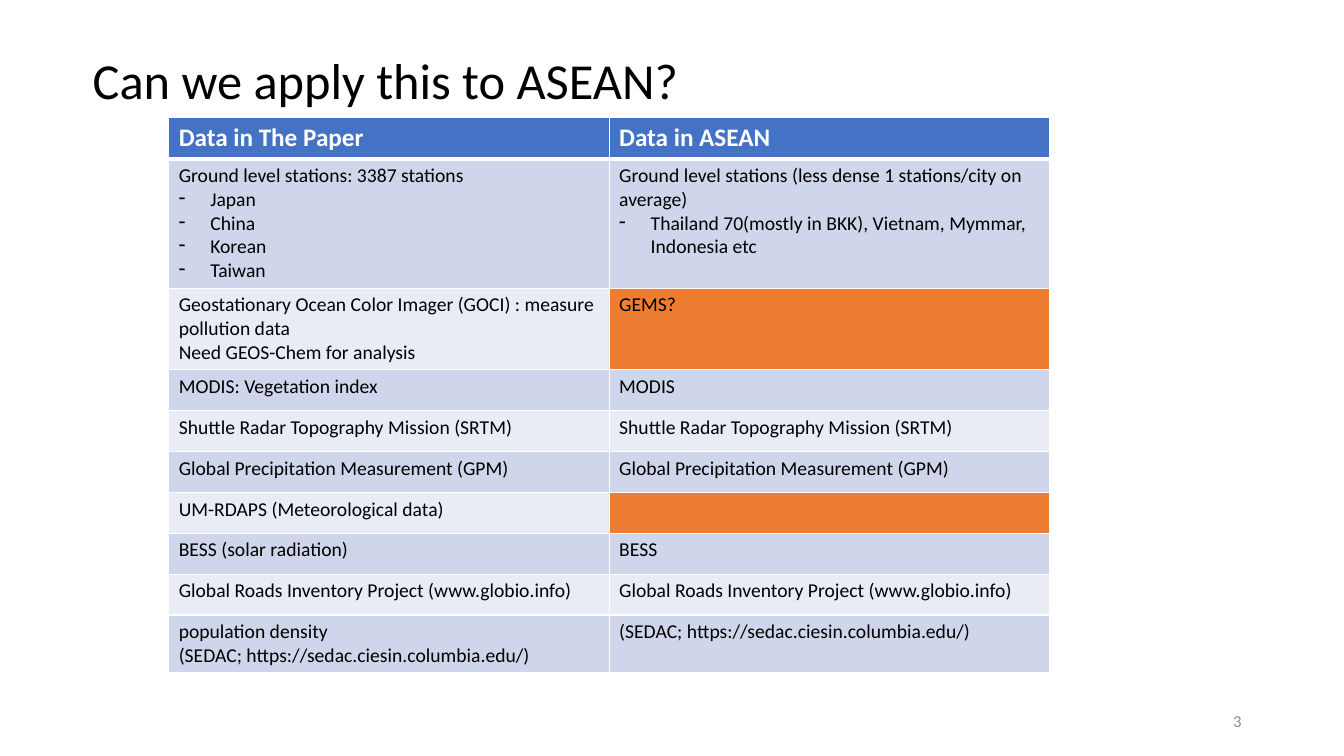
from dataclasses import dataclass

from lxml import etree
from pptx import Presentation
from pptx.dml.color import RGBColor
from pptx.enum import text as t
from pptx.oxml import ns
from pptx.util import Pt

COLORS = {
    "ink": "000000", "white": "FFFFFF", "header": "4472C4", "dark band": "CFD5EA",
    "light band": "E9EBF5", "missing": "ED7D31", "number": "8C8C8C",
}
ROW_HEIGHT = 29.2
COLUMN_WIDTH = 314.6
DASH_INDENT = 22.5


@dataclass(frozen=True)
class Style:
    """Look of a run of text."""
    size: float
    color: str = "ink"
    bold: bool = False


@dataclass(frozen=True)
class Source:
    """One table row: paper lines, ASEAN lines, and whether ASEAN lacks the data.

    A line starting with "- " becomes a dashed list item.
    """
    paper: tuple[str, ...]
    asean: tuple[str, ...] = ()
    missing: bool = False


TITLE = Style(36)
HEADER = Style(18, "white", True)
BODY = Style(14)
NUMBER = Style(12, "number")

SRTM = ("Shuttle Radar Topography Mission (SRTM)",)
GPM = ("Global Precipitation Measurement (GPM)",)
ROADS = ("Global Roads Inventory Project (www.globio.info)",)
SEDAC = ("(SEDAC; https://sedac.ciesin.columbia.edu/)",)

SOURCES = [
    Source(("Ground level stations: 3387 stations", "- Japan", "- China", "- Korean", "- Taiwan"),
           ("Ground level stations (less dense 1 stations/city on average)",
            "- Thailand 70(mostly in BKK), Vietnam, Mymmar, Indonesia etc")),
    Source(("Geostationary Ocean Color Imager (GOCI)\u00a0: measure pollution data",
            "Need GEOS-Chem for analysis"), ("GEMS?",), missing=True),
    Source(("MODIS: Vegetation index",), ("MODIS",)),
    Source(SRTM, SRTM),
    Source(GPM, GPM),
    Source(("UM-RDAPS (Meteorological data)",), missing=True),
    Source(("BESS (solar radiation)",), ("BESS",)),
    Source(ROADS, ROADS),
    Source(("population density", *SEDAC), SEDAC),
]


def rgb(name: str) -> RGBColor:
    """Look up a palette colour."""
    return RGBColor.from_string(COLORS[name])


def add_dash(para) -> None:
    """Give a paragraph a dash bullet with a hanging indent."""
    props = para._p.get_or_add_pPr()
    props.set("marL", str(Pt(DASH_INDENT)))
    props.set("indent", str(-Pt(DASH_INDENT)))
    etree.SubElement(props, ns.qn("a:buFontTx"))
    etree.SubElement(props, ns.qn("a:buChar")).set("char", "-")


def write(frame, lines: tuple[str, ...], style: Style, **para_format) -> None:
    """Write lines as paragraphs of one style."""
    for index, line in enumerate(lines):
        para = frame.add_paragraph() if index else frame.paragraphs[0]
        for name, value in para_format.items():
            setattr(para, name, value)
        if line.startswith("- "):
            add_dash(para)
        span = para.add_run()
        span.text = line.removeprefix("- ")
        values = {"name": "Calibri", "size": Pt(style.size), "bold": style.bold}
        for name, value in values.items():
            setattr(span.font, name, value)
        span.font.color.rgb = rgb(style.color)


def add_borders(cell, bottom: float) -> None:
    """Draw white cell borders, with a given bottom width."""
    props = cell._tc.get_or_add_tcPr()
    for side, width in {"L": 1, "R": 1, "T": 1, "B": bottom}.items():
        line = etree.SubElement(props, ns.qn(f"a:ln{side}"), w=str(Pt(width)))
        fill = etree.SubElement(line, ns.qn("a:solidFill"))
        etree.SubElement(fill, ns.qn("a:srgbClr"), val=COLORS["white"])


def fill_cell(cell, lines: tuple[str, ...], style: Style, fill: str, bottom: float = 1) -> None:
    """Write, border and colour one cell."""
    write(cell.text_frame, lines, style)
    add_borders(cell, bottom)
    cell.fill.solid()
    cell.fill.fore_color.rgb = rgb(fill)


def add_title(slide) -> None:
    """Place and write the slide title."""
    title = slide.shapes.title
    place = {"left": 59, "top": 27.4, "width": 828, "height": 63.4}
    for name, value in place.items():
        setattr(title, name, Pt(value))
    title.text_frame.vertical_anchor = t.MSO_ANCHOR.MIDDLE
    write(title.text_frame, ("Can we apply this to ASEAN?",), TITLE,
          alignment=t.PP_ALIGN.LEFT, line_spacing=0.9)


def add_comparison(slide) -> None:
    """Add the table comparing the paper's data with ASEAN data."""
    count = len(SOURCES) + 1
    table = slide.shapes.add_table(count, 2, Pt(120.5), Pt(84.2), Pt(2 * COLUMN_WIDTH),
                                   Pt(count * ROW_HEIGHT)).table
    for column in table.columns:
        column.width = Pt(COLUMN_WIDTH)
    for row in table.rows:
        row.height = Pt(ROW_HEIGHT)
    for column, heading in enumerate(("Data in The Paper", "Data in ASEAN")):
        fill_cell(table.cell(0, column), (heading,), HEADER, "header", bottom=3)
    for row, source in enumerate(SOURCES, start=1):
        band = "dark band" if row % 2 else "light band"
        fill_cell(table.cell(row, 0), source.paper, BODY, band)
        fill_cell(table.cell(row, 1), source.asean, BODY, "missing" if source.missing else band)


def add_number(slide) -> None:
    """Add the slide number."""
    box = slide.shapes.add_textbox(Pt(678), Pt(500.5), Pt(216), Pt(28.8))
    box.text_frame.word_wrap = True
    box.text_frame.vertical_anchor = t.MSO_ANCHOR.MIDDLE
    write(box.text_frame, ("3",), NUMBER, alignment=t.PP_ALIGN.RIGHT)


deck = Presentation()
deck.slide_width, deck.slide_height = Pt(960), Pt(540)
page = deck.slides.add_slide(deck.slide_layouts.get_by_name("Title Only"))
add_title(page)
add_comparison(page)
add_number(page)
deck.save("out.pptx")
